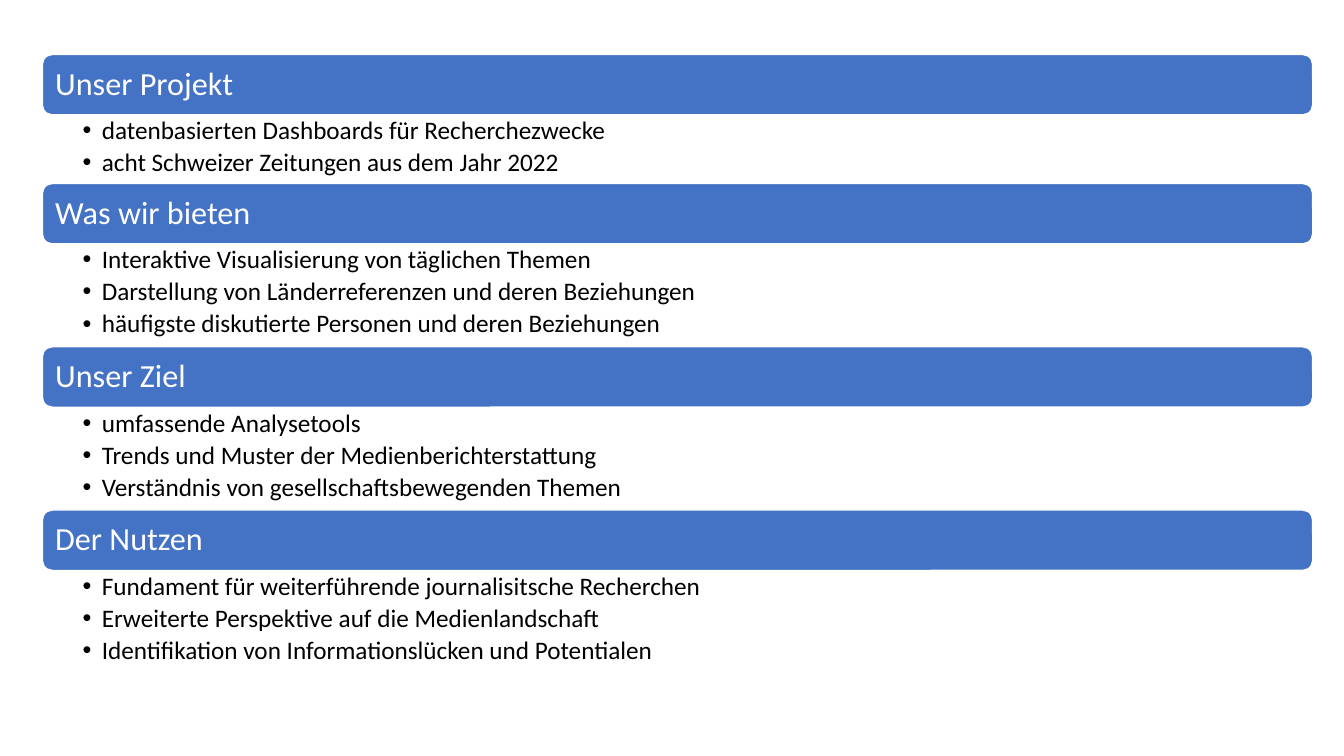
import pptx
import pptx.dml.color
import pptx.enum.shapes
import pptx.enum.text
import pptx.oxml
import pptx.oxml.ns
import pptx.util

Inches, Pt = pptx.util.Inches, pptx.util.Pt
RGBColor = pptx.dml.color.RGBColor
PP_ALIGN = pptx.enum.text.PP_ALIGN
MSO_ANCHOR = pptx.enum.text.MSO_ANCHOR

BLUE = RGBColor(0x44, 0x72, 0xC4)
WHITE = RGBColor(0xFF, 0xFF, 0xFF)
BLACK = RGBColor(0x00, 0x00, 0x00)
FONT = "Calibri"

SLIDE_W, SLIDE_H = 13.33, 7.5
LEFT, TOP, WIDTH = 0.42, 0.54, 12.6
BAND_H, ROW_H = 0.6, 0.34
HANGING = Inches(0.19)

SECTIONS = [
    ("Unser Projekt", [
        "datenbasierten Dashboards für Recherchezwecke",
        "acht Schweizer Zeitungen aus dem Jahr 2022"]),
    ("Was wir bieten", [
        "Interaktive Visualisierung von täglichen Themen",
        "Darstellung von Länderreferenzen und deren Beziehungen",
        "häufigste diskutierte Personen und deren Beziehungen"]),
    ("Unser Ziel", [
        "umfassende Analysetools",
        "Trends und Muster der Medienberichterstattung",
        "Verständnis von gesellschaftsbewegenden Themen"]),
    ("Der Nutzen", [
        "Fundament für weiterführende journalisitsche Recherchen",
        "Erweiterte Perspektive auf die Medienlandschaft",
        "Identifikation von Informationslücken und Potentialen"]),
]


def set_margins(tf, left, top, right, bottom):
    """Wrap a text frame and set its margins in inches."""
    tf.word_wrap = True
    tf.margin_left, tf.margin_top = Inches(left), Inches(top)
    tf.margin_right, tf.margin_bottom = Inches(right), Inches(bottom)


def format_paragraph(p, size, color):
    """Give a paragraph its line spacing, alignment and font."""
    p.alignment = PP_ALIGN.LEFT
    p.line_spacing = 0.9
    for r in p.runs:
        r.font.name = FONT
        r.font.size = Pt(size)
        r.font.color.rgb = color


def add_bullet(p):
    """Add a hanging round bullet to a paragraph."""
    pPr = p._p.get_or_add_pPr()
    pPr.set("marL", str(HANGING))
    pPr.set("indent", str(-HANGING))
    ns = pptx.oxml.ns.nsdecls("a")
    pPr.append(pptx.oxml.parse_xml(f'<a:buFont {ns} typeface="Arial"/>'))
    pPr.append(pptx.oxml.parse_xml(f'<a:buChar {ns} char="•"/>'))


def add_band(s, heading, left, top, width, height):
    """Draw the rounded heading band in the given box."""
    sp = s.shapes.add_shape(
        pptx.enum.shapes.MSO_SHAPE.ROUNDED_RECTANGLE,
        Inches(left), Inches(top), Inches(width), Inches(height))
    sp.shadow.inherit = False
    sp.fill.solid()
    sp.fill.fore_color.rgb = BLUE
    sp.line.color.rgb = WHITE
    sp.line.width = Pt(1)
    tf = sp.text_frame
    tf.text = heading
    tf.vertical_anchor = MSO_ANCHOR.MIDDLE
    set_margins(tf, 0.1, 0.1, 0.1, 0.1)
    format_paragraph(tf.paragraphs[0], 23, WHITE)


def add_list(s, items, left, top, width, height):
    """Write the bulleted items in the given box."""
    sp = s.shapes.add_textbox(
        Inches(left), Inches(top), Inches(width), Inches(height))
    tf = sp.text_frame
    tf.text = "\n".join(items)
    set_margins(tf, 0.4, 0.03, 0.18, 0.03)
    for p in tf.paragraphs:
        format_paragraph(p, 18, BLACK)
        p.space_after = Pt(3.5)
        add_bullet(p)


def add_sections(s, left, top, width):
    """Stack all sections, each as tall as its band and item rows."""
    for heading, items in SECTIONS:
        list_h = ROW_H * len(items)
        add_band(s, heading, left, top, width, BAND_H)
        add_list(s, items, left, top + BAND_H, width, list_h)
        top += BAND_H + list_h


prs = pptx.Presentation()
prs.slide_width, prs.slide_height = Inches(SLIDE_W), Inches(SLIDE_H)
s = prs.slides.add_slide(prs.slide_layouts[6])
add_sections(s, LEFT, TOP, WIDTH)
prs.save("out.pptx")
